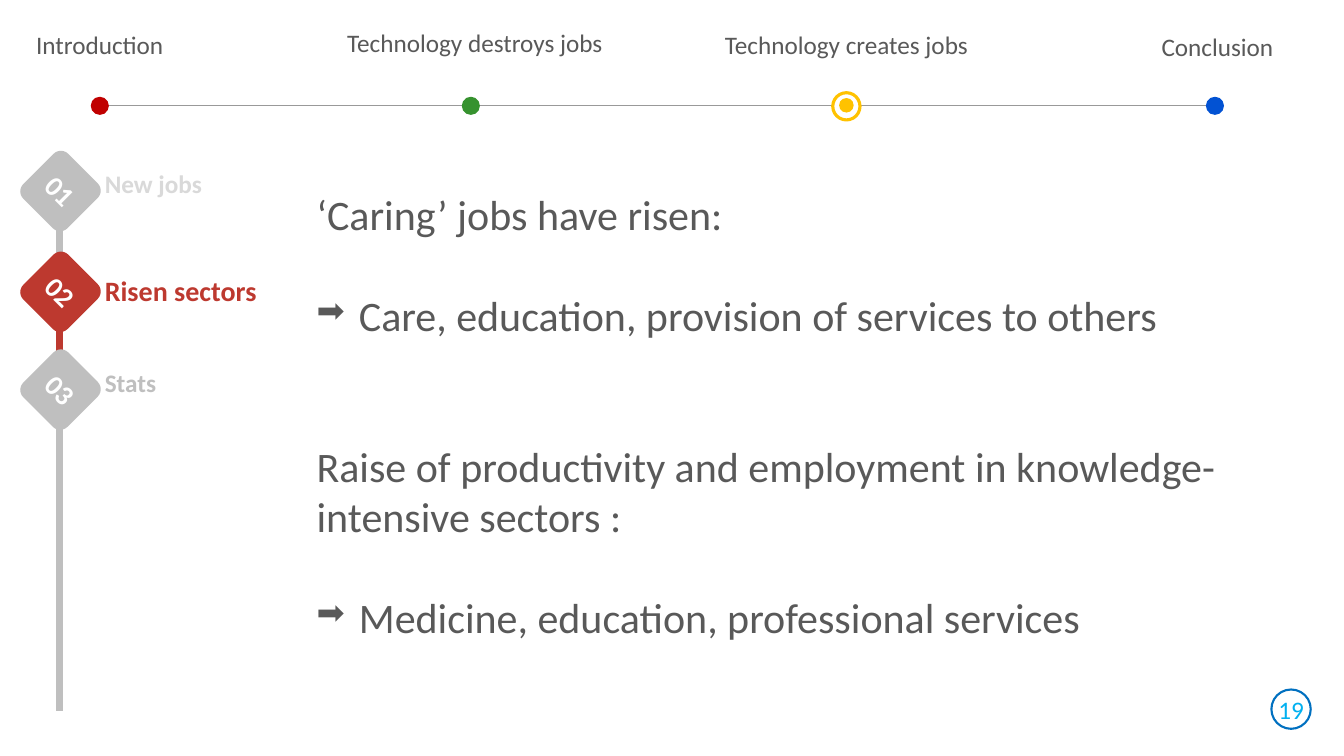
from lxml import etree
from pptx import Presentation
from pptx import util as u
from pptx.dml.color import RGBColor
from pptx.enum import shapes, text
from pptx.oxml import ns

PX = 9144  # EMU per px, 100 px to the inch
FONT = "Calibri"
COLORS = {
    "white": "FFFFFF", "body": "595959", "axis": "999999",
    "muted": "BFBFBF", "faded": "D9D9D9", "active": "BD392F",
    "red": "C00000", "green": "36922F", "yellow": "FFC200", "blue": "0252D3",
    "ring": "0070C0", "page": "00B0F0",
}
LEFT, CENTER = text.PP_ALIGN.LEFT, text.PP_ALIGN.CENTER
OVAL = shapes.MSO_SHAPE.OVAL

presentation = Presentation()
presentation.slide_width, presentation.slide_height = 1333 * PX, 750 * PX
slide = presentation.slides.add_slide(presentation.slide_layouts[6])


def add_shape(kind, box, fill, line=None, weight=1):
    shape = slide.shapes.add_shape(kind, *[n * PX for n in box])
    shape.shadow.inherit = False
    shape.fill.solid()
    shape.fill.fore_color.rgb = RGBColor.from_string(COLORS[fill])
    if line:
        shape.line.color.rgb = RGBColor.from_string(COLORS[line])
        shape.line.width = u.Pt(weight)
    else:
        shape.line.fill.background()
    return shape


def write(shape, lines, size, color, align=LEFT, bold=False, margin=5, wrap=True):
    frame = shape.text_frame
    frame.word_wrap = wrap
    frame.margin_left = frame.margin_right = margin * PX
    frame.margin_top = frame.margin_bottom = margin * PX
    frame.text = "\n".join(lines)
    for paragraph in frame.paragraphs:
        paragraph.alignment = align
        for run in paragraph.runs:
            run.font.name, run.font.size, run.font.bold = FONT, u.Pt(size), bold
            run.font.color.rgb = RGBColor.from_string(COLORS[color])
    return frame


# Lines: timeline axis and the stretches of the section track
for x1, y1, x2, y2, color, weight in [
    (97, 105, 1196, 105, "axis", 0.5),
    (59, 266, 59, 705, "active", 5),
    (59, 399, 59, 705, "muted", 5),
    (59, 189, 59, 276, "muted", 5),
]:
    connector = slide.shapes.add_connector(
        shapes.MSO_CONNECTOR.STRAIGHT, x1 * PX, y1 * PX, x2 * PX, y2 * PX)
    connector.line.color.rgb = RGBColor.from_string(COLORS[color])
    connector.line.width = u.Pt(weight)
    etree.SubElement(connector._element.spPr, ns.qn("a:effectLst"))

# Timeline labels and dots
for label, left, top, width, dot_left, color in [
    ("Introduction", -4, 24, 206, 90, "red"),
    ("Technology destroys jobs", 306, 22, 330, 458, "green"),
    ("Technology creates jobs", 694, 24, 291, 826, "yellow"),
    ("Conclusion", 1109, 26, 197, 1196, "blue"),
]:
    box = slide.shapes.add_textbox(left * PX, top * PX, width * PX, 39 * PX)
    write(box, [label], 18, "body", CENTER)
    if color == "yellow":  # current chapter
        add_shape(OVAL, (dot_left, 92, 27, 27), "white", color, 2.25)
        add_shape(OVAL, (dot_left + 7, 98, 13, 13), color, color)
    else:
        add_shape(OVAL, (dot_left, 96, 18, 18), color)

# Section track: numbered diamonds with labels
for number, (label, top, label_top, size, fill, color) in enumerate([
    ("New jobs", 158, 162, 18, "muted", "faded"),
    ("Risen sectors", 258, 266, 20, "active", "active"),
    ("Stats", 355, 359, 18, "muted", "muted"),
], start=1):
    diamond = add_shape(shapes.MSO_SHAPE.ROUNDED_RECTANGLE, (29, top, 62, 63), fill)
    diamond.rotation = 45
    frame = write(diamond, [f"{number:02}"], 20, "white", CENTER, True, 0)
    frame.vertical_anchor = text.MSO_ANCHOR.MIDDLE
    box = slide.shapes.add_textbox(99 * PX, label_top * PX, 200 * PX, 38 * PX)
    write(box, [label], size, color, bold=True)

# Body: statements, each followed by an arrow bullet
body = slide.shapes.add_textbox(309 * PX, 182 * PX, 1024 * PX, 447 * PX)
frame = write(body, [
    "‘Caring’ jobs have risen:",
    "Care, education, provision of services to others",
    "Raise of productivity and employment in knowledge-intensive sectors :",
    "Medicine, education, professional services",
], 30, "body")
for paragraph, gap in zip(frame.paragraphs, (0, 36, 72, 36)):
    paragraph.space_before = u.Pt(gap)
for paragraph in frame.paragraphs[1::2]:
    properties = paragraph._p.get_or_add_pPr()
    properties.set("marL", str(42 * PX))
    properties.set("indent", str(-42 * PX))
    etree.SubElement(properties, ns.qn("a:buSzPct"), val="80000")
    etree.SubElement(properties, ns.qn("a:buChar"), char="➡")

# Page number
badge = add_shape(OVAL, (1261, 684, 39, 39), "white", "ring", 1.5)
frame = write(badge, ["19"], 18, "page", CENTER, margin=0, wrap=False)
frame.vertical_anchor = text.MSO_ANCHOR.MIDDLE

presentation.save("out.pptx")
